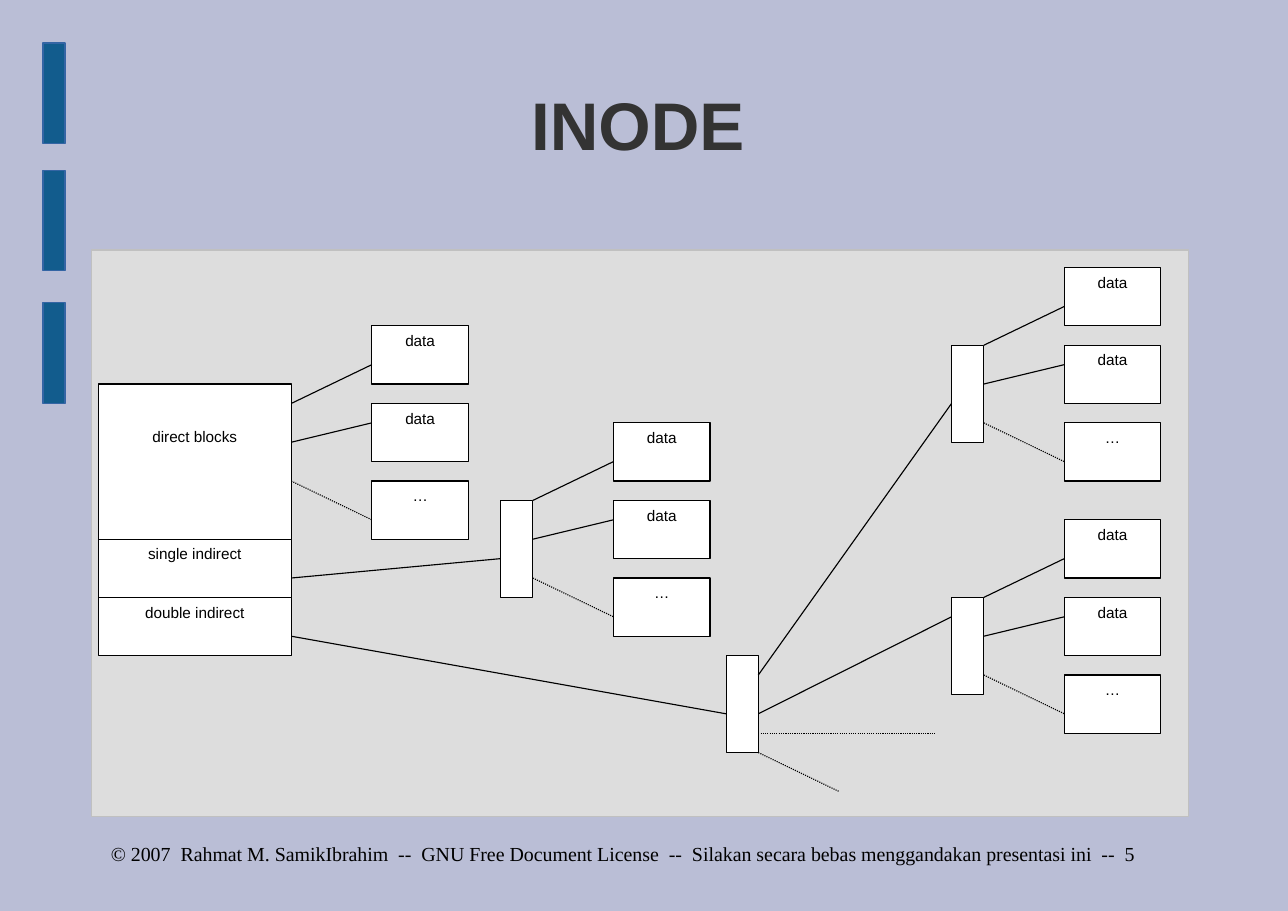
from lxml import etree
from pptx import Presentation
from pptx.dml.color import RGBColor
from pptx.enum.dml import MSO_LINE
from pptx.enum.shapes import MSO_CONNECTOR, MSO_SHAPE
from pptx.enum.text import MSO_ANCHOR, PP_ALIGN
from pptx.oxml.ns import qn
from pptx.util import Inches, Pt

RECT = MSO_SHAPE.RECTANGLE
STRAIGHT = MSO_CONNECTOR.STRAIGHT
DOTS = MSO_LINE.ROUND_DOT
TOP, MIDDLE = MSO_ANCHOR.TOP, MSO_ANCHOR.MIDDLE
CENTER, RIGHT = PP_ALIGN.CENTER, PP_ALIGN.RIGHT

COLORS = {
    "background": "BABED6", "panel": "DDDDDD", "panel_line": "C0C0C0",
    "bar": "125C8D", "bar_line": "3465A4", "title": "333333",
    "box": "FFFFFF", "ink": "000000",
}

# Diagram grid: column 0 is the inode's left side, row 0 the highest block's top
LEFT, GRID_TOP = Inches(0.89), Inches(2.43)
COL, ROW = Inches(8.77) / 60, Inches(4.05) / 23
INODE_W, BLOCK_W, NODE_W, GAP = 12, 6, 2, 5
BLOCK_H, NODE_H = 3, 5


def color(name):
    return RGBColor.from_string(COLORS[name])


def grid(col, row):
    return round(LEFT + col * COL), round(GRID_TOP + row * ROW)


def write(sp, text, size=10, font="Arial", ink="ink", bold=False,
          align=CENTER, anchor=TOP, inset=None):
    tf = sp.text_frame
    tf.word_wrap = True
    tf.vertical_anchor = anchor
    if inset is not None:
        tf.margin_left = tf.margin_right = 0
        tf.margin_top = tf.margin_bottom = Inches(inset)
    p = tf.paragraphs[0]
    p.alignment = align
    r = p.add_run()
    r.text = text
    r.font.size, r.font.name, r.font.bold = Pt(size), font, bold
    r.font.color.rgb = color(ink)


def add_rect(s, x, y, w, h, fill, line, width=0):
    sp = s.shapes.add_shape(RECT, x, y, w, h)
    sp.shadow.inherit = False
    sp.fill.solid()
    sp.fill.fore_color.rgb = color(fill)
    sp.line.color.rgb = color(line)
    sp.line.width = Pt(width)
    return sp


def add_text(s, x, y, w, h, text, **fmt):
    write(s.shapes.add_textbox(x, y, w, h), text, inset=0, **fmt)


def add_box(s, col, row, cols, rows, text="", **fmt):
    x, y = grid(col, row)
    right, bottom = grid(col + cols, row + rows)
    sp = add_rect(s, x, y, right - x, bottom - y, "box", "ink", 0.75)
    if text:
        write(sp, text, **fmt)


def add_link(s, start, end, dotted=False):
    cx = s.shapes.add_connector(STRAIGHT, *grid(*start), *grid(*end))
    cx.line.color.rgb = color("ink")
    cx.line.width = Pt(0.75)
    if dotted:
        cx.line.dash_style = DOTS
    etree.SubElement(cx._element.spPr, qn("a:effectLst"))


def add_node(s, col, row):
    add_box(s, col, row, NODE_W, NODE_H)


def add_fan(s, col, row):
    """Three data blocks, each linked to the holder on their left."""
    for i, (text, drop) in enumerate((("data", 2), ("data", 1), ("…", 2))):
        top = row + 4 * i
        add_box(s, col, top, BLOCK_W, BLOCK_H, text)
        add_link(s, (col - GAP, row + 4 + 2 * i), (col, top + drop), text == "…")


def add_frame(s):
    s.background.fill.solid()
    s.background.fill.fore_color.rgb = color("background")
    add_rect(s, Inches(0.83), Inches(2.27), Inches(9.96), Inches(5.14),
             "panel", "panel_line")
    for y in (0.39, 1.55, 2.75):
        add_rect(s, Inches(0.39), Inches(y), Inches(0.2), Inches(0.91),
                 "bar", "bar_line")
    add_text(s, 0, Inches(7.64), Inches(10.29), Inches(0.49),
             "© 2007  Rahmat M. SamikIbrahim  --  GNU Free Document License  --  "
             "Silakan secara bebas menggandakan presentasi ini  --  5",
             size=13, font="Times New Roman", align=RIGHT)
    add_text(s, Inches(1.13), Inches(0.5), Inches(9.32), Inches(1.25), "INODE",
             size=44, ink="title", bold=True, anchor=MIDDLE)


def add_diagram(s):
    # Inode
    add_box(s, 0, 6, INODE_W, 8, "direct blocks", inset=0.39)
    add_box(s, 0, 14, INODE_W, BLOCK_H, "single indirect")
    add_box(s, 0, 17, INODE_W, BLOCK_H, "double indirect")

    # Index nodes and the data blocks they lead to
    for col, row in ((25, 12), (39, 20), (53, 4), (53, 17)):
        add_node(s, col, row)
    for col, row in ((17, 3), (32, 8), (60, 0), (60, 13)):
        add_fan(s, col, row)

    # Links to the index nodes
    add_link(s, (12, 16), (25, 15))
    add_link(s, (12, 19), (39, 23))
    add_link(s, (41, 21), (53, 7))
    add_link(s, (41, 23), (53, 18))
    add_link(s, (41, 24), (52, 24), dotted=True)
    add_link(s, (41, 25), (46, 27), dotted=True)


def main():
    prs = Presentation()
    prs.slide_width, prs.slide_height = Inches(11.69), Inches(8.27)
    s = prs.slides.add_slide(prs.slide_layouts[6])
    add_frame(s)
    add_diagram(s)
    prs.save("out.pptx")


if __name__ == "__main__":
    main()
